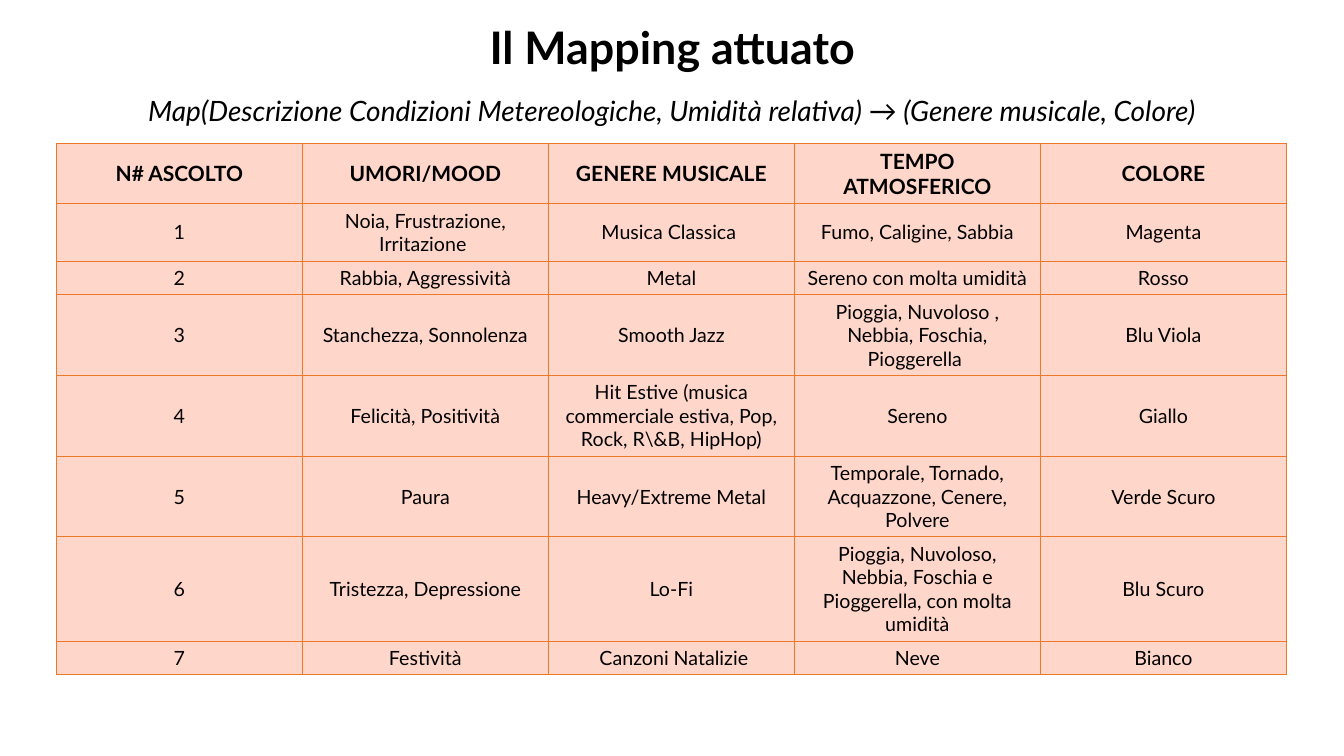
import pptx
import pptx.util
import pptx.dml.color
import pptx.enum.text
import pptx.oxml.ns
import lxml.etree

Cm = pptx.util.Cm
INK, PEACH, EDGE = "000000", "FFD6CA", "EC792A"


def color(code):
    return pptx.dml.color.RGBColor.from_string(code)


def write(frame, text, size, bold=False, slant=False):
    frame.word_wrap = True
    frame.vertical_anchor = pptx.enum.text.MSO_ANCHOR.MIDDLE
    para = frame.paragraphs[0]
    para.alignment = pptx.enum.text.PP_ALIGN.CENTER
    run = para.add_run()
    run.text = text
    font = run.font
    font.name, font.size = "Lato", pptx.util.Pt(size)
    font.bold, font.italic = bold, slant
    font.color.rgb = color(INK)
    return para


deck = pptx.Presentation()
deck.slide_width, deck.slide_height = Cm(33.87), Cm(19.05)
slide = deck.slides.add_slide(deck.slide_layouts[5])

# Title
title = slide.shapes.title
title.left, title.top = Cm(2.34), Cm(-0.58)
title.width, title.height = Cm(29.21), Cm(3.68)
title.text_frame.auto_size = pptx.enum.text.MSO_AUTO_SIZE.NONE
write(title.text_frame, "Il Mapping attuato", 32, bold=True).line_spacing = 0.9

# Mapping rule
rule = slide.shapes.add_textbox(Cm(0.94), Cm(1.93), Cm(32), Cm(1.68))
write(
    rule.text_frame,
    "Map(Descrizione Condizioni Metereologiche, Umidità relativa) → (Genere musicale, Colore)",
    20,
    slant=True,
)

# Table content
rows = [
    ["N# ASCOLTO", "UMORI/MOOD", "GENERE MUSICALE", "TEMPO ATMOSFERICO", "COLORE"],
    ["1", "Noia, Frustrazione, Irritazione ", "Musica Classica ",
     "Fumo, Caligine, Sabbia", "Magenta"],
    ["2", "Rabbia, Aggressività", "Metal", "Sereno con molta umidità", "Rosso"],
    ["3", "Stanchezza, Sonnolenza", "Smooth Jazz",
     "Pioggia, Nuvoloso , Nebbia, Foschia, Pioggerella ", "Blu Viola"],
    ["4", "Felicità, Positività",
     "Hit Estive (musica commerciale estiva, Pop, Rock, R\\&B, HipHop)",
     "Sereno", "Giallo"],
    ["5", "Paura", "Heavy/Extreme Metal",
     "Temporale, Tornado, Acquazzone, Cenere, Polvere", "Verde Scuro"],
    ["6", "Tristezza, Depressione", "Lo-Fi",
     "Pioggia, Nuvoloso, Nebbia, Foschia e Pioggerella, con molta umidità",
     "Blu Scuro"],
    ["7", "Festività", " Canzoni Natalizie", "Neve", "Bianco"],
]
highs = [0.79, 1.27, 0.76, 1.8, 1.8, 1.8, 2.31, 0.76]

# Table grid
frame = slide.shapes.add_table(
    len(rows), len(rows[0]), Cm(1.42), Cm(3.61), Cm(31), Cm(sum(highs))
)
table = frame.table
table.horz_banding = False
for row, high in zip(table.rows, highs):
    row.height = Cm(high)

# Cells with borders and fill
qn = pptx.oxml.ns.qn
for r, row in enumerate(rows):
    for c, text in enumerate(row):
        cell = table.cell(r, c)
        write(cell.text_frame, text, 14 if r else 15, bold=r == 0)
        cell.vertical_anchor = pptx.enum.text.MSO_ANCHOR.MIDDLE
        props = cell._tc.get_or_add_tcPr()
        for side in ("a:lnL", "a:lnR", "a:lnT", "a:lnB"):
            line = lxml.etree.SubElement(props, qn(side), w=str(pptx.util.Pt(0.75)))
            fill = lxml.etree.SubElement(line, qn("a:solidFill"))
            lxml.etree.SubElement(fill, qn("a:srgbClr"), val=EDGE)
        cell.fill.solid()
        cell.fill.fore_color.rgb = color(PEACH)

deck.save("out.pptx")
